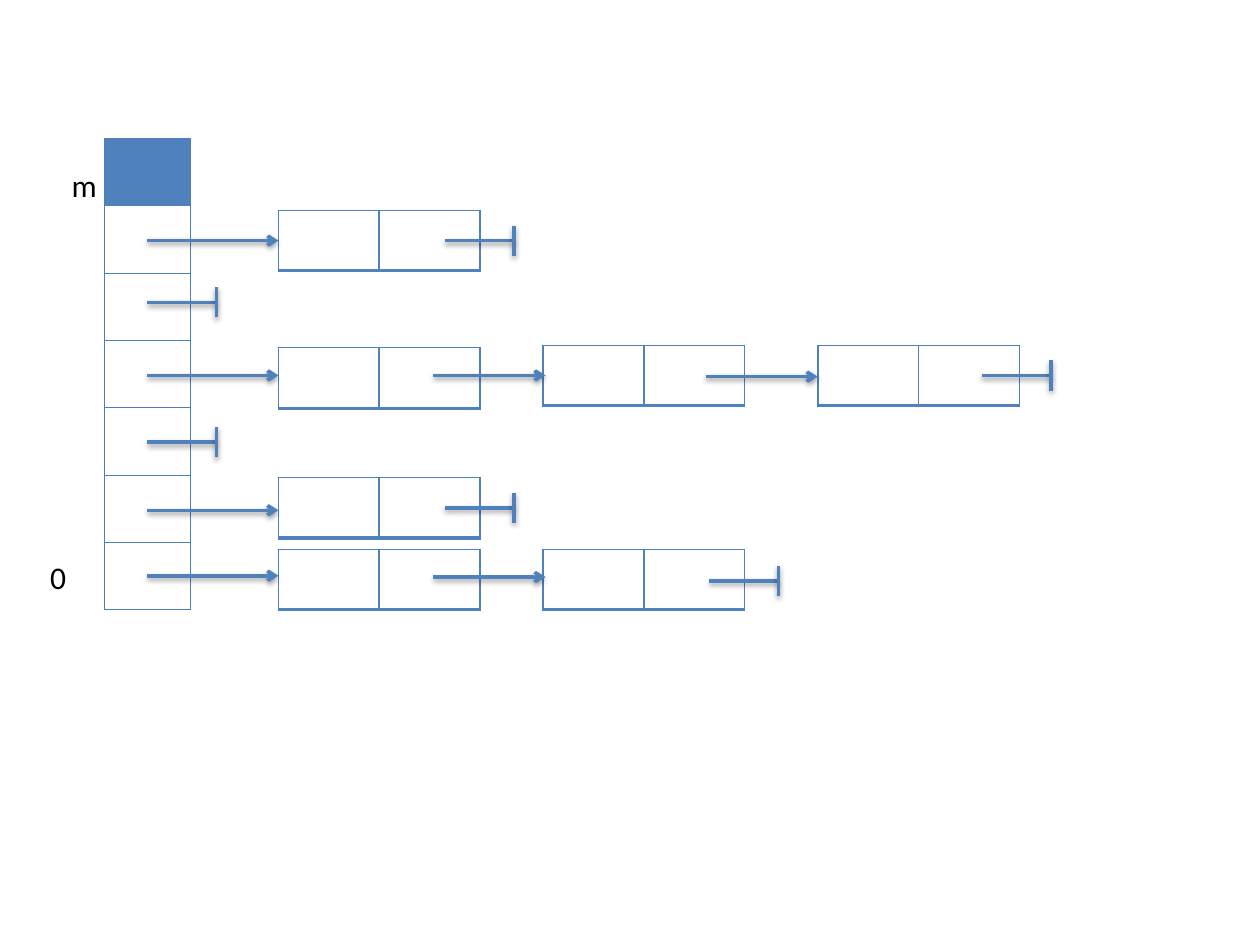
from lxml import etree
from pptx import Presentation
from pptx.dml.color import RGBColor
from pptx.enum.shapes import MSO_CONNECTOR
from pptx.oxml import parse_xml
from pptx.oxml.ns import nsdecls, qn
from pptx.util import Inches, Pt

STRAIGHT = MSO_CONNECTOR.STRAIGHT
BLUE = "4F81BD"
EDGE = "4B7EBC"
SHADOW = f"""<a:effectLst {nsdecls("a")}>
  <a:outerShdw blurRad="{Pt(3.1)}" dist="{Pt(1.6)}" dir="5400000" rotWithShape="0">
    <a:srgbClr val="000000"><a:alpha val="38000"/></a:srgbClr>
  </a:outerShdw>
</a:effectLst>"""

prs = Presentation()
prs.slide_width, prs.slide_height = Inches(10), Inches(7.5)
slide = prs.slides.add_slide(prs.slide_layouts[6])
shapes = slide.shapes


def add_grid(rows, cols, left, top, width, height, color, widths):
    """Add an unfilled table; widths are the left, right, top and bottom borders in points."""
    table = shapes.add_table(rows, cols, Inches(left), Inches(top),
                             Inches(width), Inches(height)).table
    table.first_row = table.horz_banding = False
    for cell in table.iter_cells():
        cell.fill.background()
        props = cell._tc.get_or_add_tcPr()
        for i, (side, size) in enumerate(zip("LRTB", widths)):
            props.insert(i, parse_xml(
                f'<a:ln{side} {nsdecls("a")} w="{Pt(size)}"><a:solidFill>'
                f'<a:srgbClr val="{color}"/></a:solidFill></a:ln{side}>'))
    return table


def add_line(x1, y1, x2, y2, arrow=False):
    line = shapes.add_connector(STRAIGHT, Inches(x1), Inches(y1), Inches(x2), Inches(y2))
    line.line.color.rgb = RGBColor.from_string(BLUE)
    line.line.width = Pt(2)
    props = line._element.spPr
    if arrow:
        etree.SubElement(props.find(qn("a:ln")), qn("a:tailEnd"), type="arrow")
    props.append(parse_xml(SHADOW))


# Bucket array, with the unused top slot filled
slots = add_grid(7, 1, 0.83, 1.1, 0.68, 3.74, EDGE, [0.75] * 4)
top_slot = slots.cell(0, 0)
top_slot.fill.solid()
top_slot.fill.fore_color.rgb = RGBColor.from_string(BLUE)

# Two-part list nodes
for left, top in [(2.21, 1.67), (6.49, 2.74), (4.31, 2.74), (2.21, 2.76),
                  (2.21, 3.79), (4.31, 4.36), (2.21, 4.36)]:
    add_grid(1, 2, left, top, 1.6, 0.48, BLUE, [1, 1, 1, 2])

# Pointers from slots to first nodes, then from node to node
for y in [1.91, 2.98, 4.05, 4.57]:
    add_line(1.17, y, 2.21, y, arrow=True)
for x, y in [(3.44, 2.98), (5.6, 2.99), (3.44, 4.58)]:
    add_line(x, y, x + 0.89, y, arrow=True)

# Null pointers: a stem ending in a bar
for x, y in [(1.17, 2.4), (1.17, 3.51), (3.53, 1.91), (3.53, 4.03),
             (5.63, 4.61), (7.79, 2.98)]:
    end = x + 0.55
    add_line(x, y, end, y)
    add_line(end, y - 0.12, end, y + 0.12)

# Index labels
for text, left, top, width in [("0", 0.3, 4.38, 0.33), ("m", 0.47, 1.27, 0.4)]:
    frame = shapes.add_textbox(Inches(left), Inches(top), Inches(width), Inches(0.4)).text_frame
    frame.text = text
    font = frame.paragraphs[0].runs[0].font
    font.name, font.size = "Calibri", Pt(18)
    font.color.rgb = RGBColor.from_string("000000")

prs.save("out.pptx")
